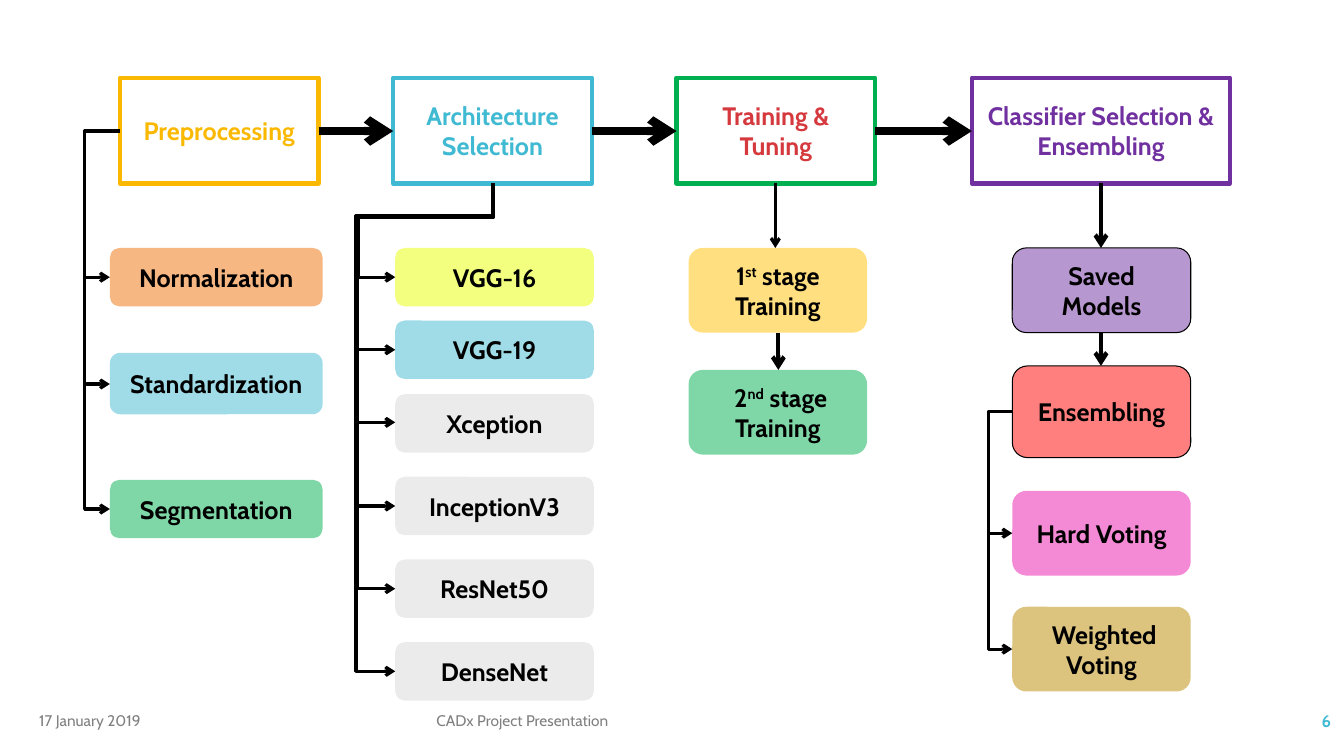
from lxml.etree import SubElement
from pptx import Presentation
from pptx.dml.color import RGBColor
from pptx.enum.shapes import MSO_CONNECTOR, MSO_SHAPE
from pptx.enum.text import MSO_ANCHOR, PP_ALIGN
from pptx.oxml.ns import qn
from pptx.util import Inches, Pt

BLACK = RGBColor(0x00, 0x00, 0x00)
GRAY = RGBColor(0x80, 0x80, 0x80)
SILVER = RGBColor(0xD9, 0xD9, 0xD9)
GOLD = RGBColor(0xFA, 0xB9, 0x00)
AMBER = RGBColor(0xFF, 0xC0, 0x00)
ORANGE = RGBColor(0xEE, 0x70, 0x08)
CYAN = RGBColor(0x40, 0xBA, 0xD2)
GREEN = RGBColor(0x00, 0xB0, 0x50)
YELLOW = RGBColor(0xE7, 0xFF, 0x01)
CRIMSON = RGBColor(0xD5, 0x39, 0x3D)
RED = RGBColor(0xFF, 0x00, 0x00)
PURPLE = RGBColor(0x70, 0x30, 0xA0)
PINK = RGBColor(0xEA, 0x16, 0xAD)
OCHRE = RGBColor(0xBB, 0x8B, 0x00)

prs = Presentation()
prs.slide_width, prs.slide_height = Inches(13.33), Inches(7.5)
s = prs.slides.add_slide(prs.slide_layouts[6])


def write(sp, text, color, align=PP_ALIGN.CENTER, size=18, bold=True):
    tf = sp.text_frame
    tf.word_wrap = True
    tf.vertical_anchor = MSO_ANCHOR.MIDDLE
    for i, line in enumerate(text.split("\n")):
        p = tf.add_paragraph() if i else tf.paragraphs[0]
        p.alignment = align
        for j, part in enumerate(line.split("^")):
            r = p.add_run()
            r.text = part
            for name, value in {"name": "Cabin", "size": Pt(size), "bold": bold}.items():
                setattr(r.font, name, value)
            r.font.color.rgb = color
            if j % 2:
                r.font._element.set("baseline", "30000")


def arrow(x1, y1, x2, y2, width, adjusts=(), turned=False):
    kind = MSO_CONNECTOR.ELBOW if adjusts else MSO_CONNECTOR.STRAIGHT
    if turned:
        cx, cy, w, h = (x1 + x2) / 2, (y1 + y2) / 2, y2 - y1, x1 - x2
        x1, y1, x2, y2 = cx - w / 2, cy - h / 2, cx + w / 2, cy + h / 2
    c = s.shapes.add_connector(kind, Inches(x1), Inches(y1), Inches(x2), Inches(y2))
    c.line.color.rgb = BLACK
    c.line.width = Pt(width)
    spPr = c._element.spPr
    if turned:
        spPr.find(qn("a:xfrm")).set("rot", "5400000")
    if adjusts:
        geom = spPr.find(qn("a:prstGeom"))
        geom.set("prst", f"bentConnector{len(adjusts) + 2}")
        guides = geom.find(qn("a:avLst"))
        if guides is None:
            guides = SubElement(geom, qn("a:avLst"))
        for i, value in enumerate(adjusts, 1):
            SubElement(guides, qn("a:gd"), name=f"adj{i}", fmla=f"val {round(value * 100000)}")
    SubElement(spPr.find(qn("a:ln")), qn("a:tailEnd"), type="arrow")
    SubElement(spPr, qn("a:effectLst"))


footers = [
    (0.29, 3, "17 January 2019", GRAY, PP_ALIGN.LEFT, 11, False),
    (4.23, 6.46, "CADx Project Presentation", GRAY, PP_ALIGN.LEFT, 11, False),
    (11.63, 1.67, "6", CYAN, PP_ALIGN.RIGHT, 12, True),
]
for x, w, text, color, align, size, bold in footers:
    sp = s.shapes.add_textbox(Inches(x), Inches(6.95), Inches(w), Inches(0.4))
    write(sp, text, color, align, size, bold)

stages = [
    (1.19, 1.97, "Preprocessing", GOLD, GOLD),
    (3.9, 1.97, "Architecture Selection", CYAN, CYAN),
    (6.71, 1.97, "Training & Tuning", GREEN, CRIMSON),
    (9.64, 2.56, "Classifier Selection &\nEnsembling", PURPLE, PURPLE),
]
for x, w, text, border, color in stages:
    sp = s.shapes.add_shape(MSO_SHAPE.RECTANGLE, Inches(x), Inches(0.77), Inches(w), Inches(1.05))
    sp.shadow.inherit = False
    sp.fill.background()
    sp.line.color.rgb = border
    sp.line.width = Pt(3)
    write(sp, text, color)

columns = [
    (1.09, 2.11, [
        (2.46, 0.58, "Normalization", ORANGE, False),
        (3.5, 0.61, "Standardization", CYAN, False),
        (4.76, 0.58, "Segmentation", GREEN, False),
    ]),
    (3.92, 1.97, [
        (2.46, 0.58, "VGG-16", YELLOW, False),
        (3.18, 0.58, "VGG-19", CYAN, False),
        (3.91, 0.58, "Xception", SILVER, False),
        (4.73, 0.58, "InceptionV3", SILVER, False),
        (5.55, 0.58, "ResNet50", SILVER, False),
        (6.37, 0.58, "DenseNet", SILVER, False),
    ]),
    (6.83, 1.77, [
        (2.46, 0.84, "1^st^ stage Training", AMBER, False),
        (3.67, 0.84, " 2^nd^ stage Training", GREEN, False),
    ]),
    (10.04, 1.77, [
        (2.46, 0.84, "Saved Models", PURPLE, True),
        (3.63, 0.91, "Ensembling", RED, True),
        (4.87, 0.84, "Hard Voting", PINK, False),
        (6.02, 0.84, " Weighted Voting", OCHRE, False),
    ]),
]
for x, w, steps in columns:
    for y, h, text, color, outlined in steps:
        sp = s.shapes.add_shape(MSO_SHAPE.ROUNDED_RECTANGLE, Inches(x), Inches(y), Inches(w), Inches(h))
        sp.shadow.inherit = False
        sp.fill.solid()
        sp.fill.fore_color.rgb = color
        tint = sp._element.spPr.find(qn("a:solidFill"))[0]
        SubElement(tint, qn("a:alpha"), val="50000")
        if outlined:
            sp.line.color.rgb = BLACK
            sp.line.width = Pt(0.75)
        else:
            sp.line.fill.background()
        write(sp, text, BLACK)

for (x, w, *_), (following, *_) in zip(stages, stages[1:]):
    arrow(x + w, 1.3, following, 1.3, 6)

for x, y1, y2, width in [(7.69, 1.82, 2.46, 2.25), (7.72, 3.3, 3.67, 3),
                         (10.92, 1.82, 2.46, 3), (10.92, 3.3, 3.63, 3)]:
    arrow(x, y1, x, y2, width)

for x1, y1, x2, rail, ends in [(1.19, 1.3, 1.09, 0.84, (2.75, 3.81, 5.05)),
                               (10.05, 4.08, 10.04, 9.8, (5.29, 6.44))]:
    for y2 in ends:
        arrow(x1, y1, x2, y2, 2.25, [(x1 - rail) / (x1 - x2)])

for y2, bend, rail in [(2.75, 2.14, 3.55), (3.47, 2.15, 3.54), (4.19, 2.14, 3.53),
                       (5.02, 2.14, 3.53), (5.84, 2.14, 3.54), (6.66, 2.16, 3.53)]:
    adjusts = [(bend - 1.82) / (y2 - 1.82), (4.89 - rail) / (4.89 - 3.92)]
    arrow(4.89, 1.82, 3.92, y2, 2.25, adjusts, turned=True)

prs.save("out.pptx")
